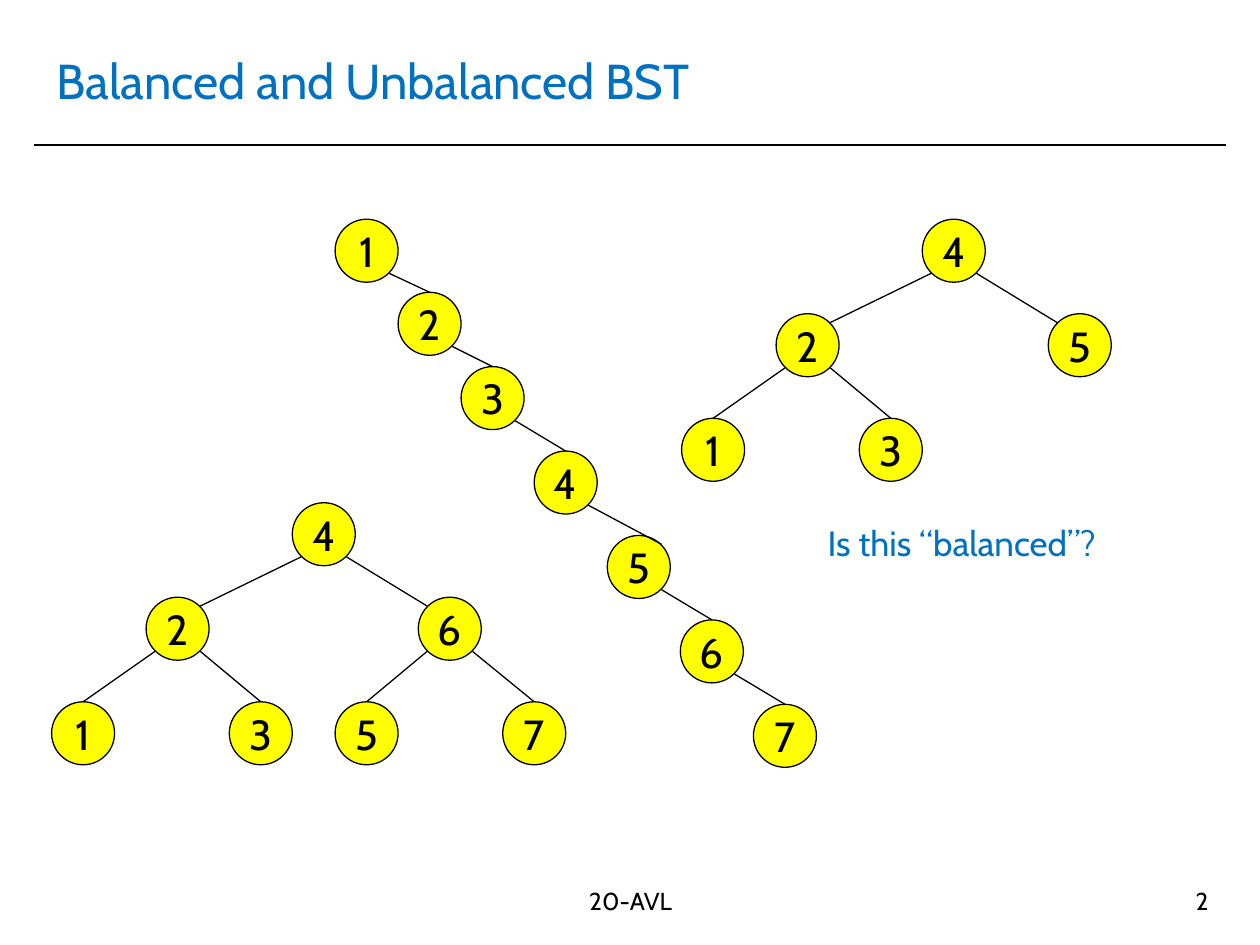
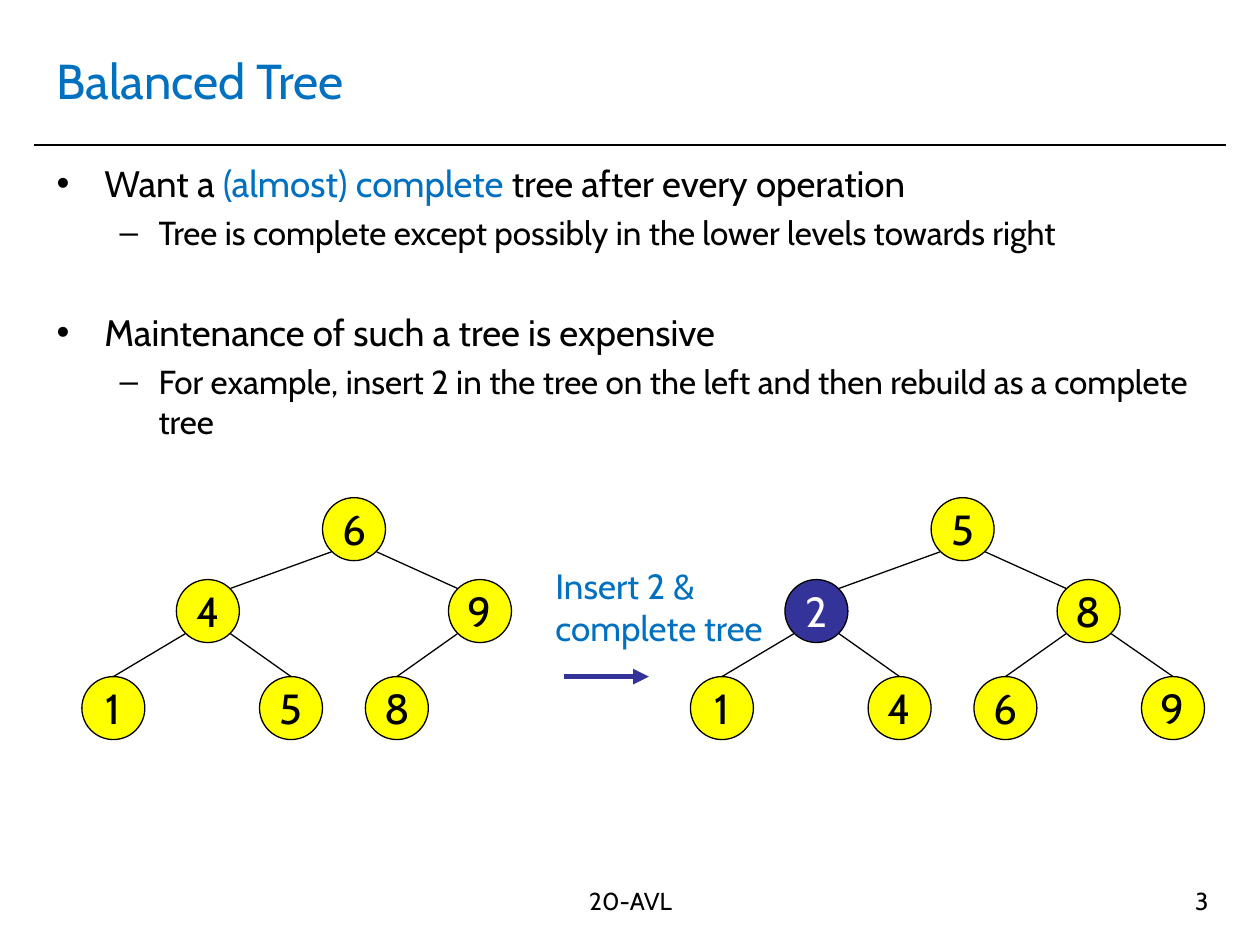
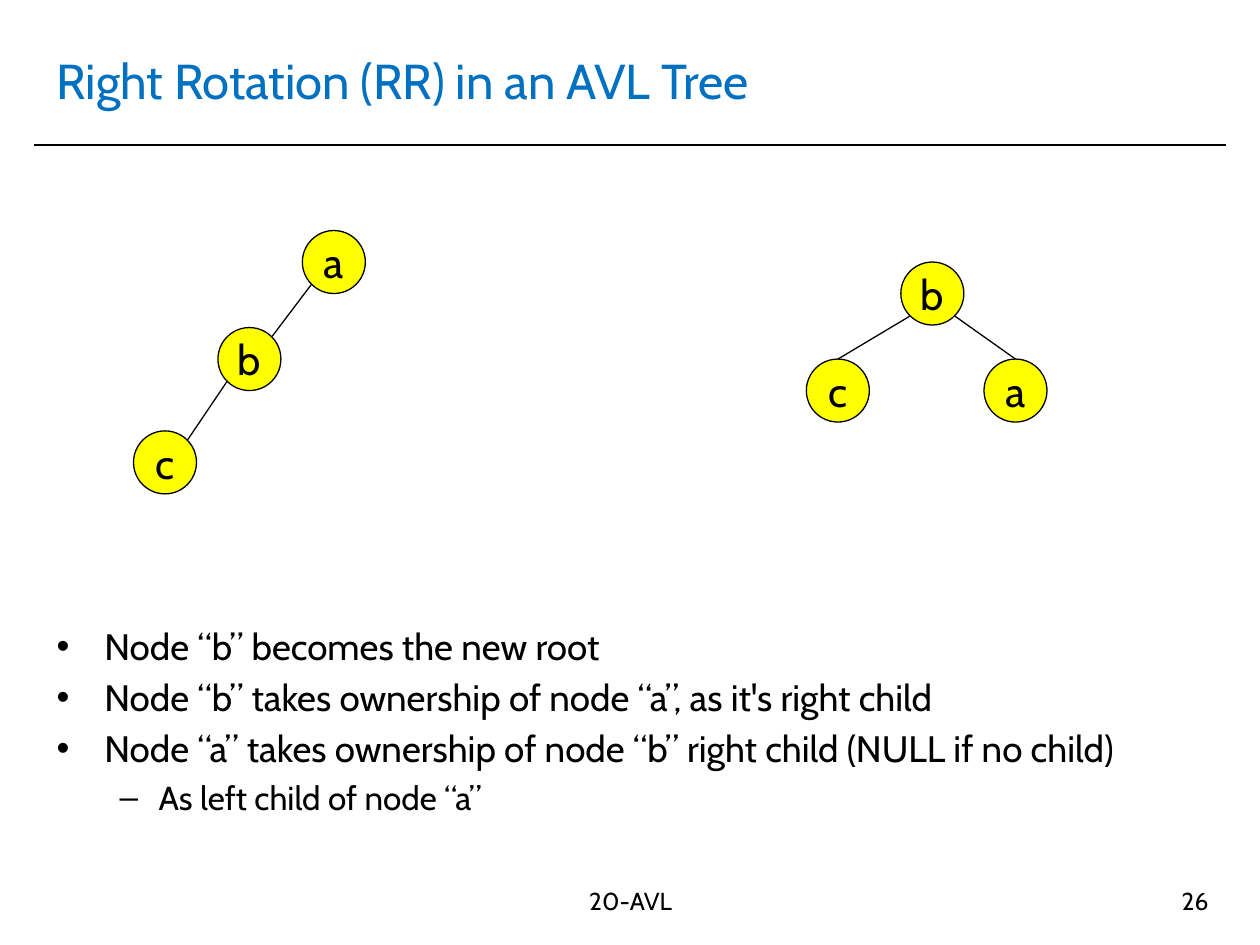
from dataclasses import dataclass
from itertools import accumulate

from lxml import etree
from pptx import Presentation
from pptx import util as u
from pptx.dml.color import RGBColor
from pptx.enum import shapes, text
from pptx.oxml.ns import qn


@dataclass(frozen=True)
class Theme:
    font: str = "Cabin"
    ink: str = "000000"
    blue: str = "0070C0"
    node: str = "FFFF00"
    mark: str = "333399"
    light: str = "FFFFFF"
    title: int = 28
    label: int = 24
    note: int = 20
    foot: int = 14
    body: tuple = (21, 19)
    gap: int = 4


T = Theme()
SIZE = 0.5  # node diameter
NEAR, FAR = 0.07, 0.43  # diagonal points on a node's outline
PORTS = {"top": (SIZE / 2, 0), "left": (NEAR, NEAR), "right": (FAR, NEAR)}
SLOTS = (1.91, 0.75, 2.91, 0, 1.41, 2.25, 3.58)  # node lefts, level by level
ALIGN = text.PP_ALIGN
ANCHOR = text.MSO_ANCHOR


def rgb(code):
    return RGBColor.from_string(code)


def inches(*vals):
    return [u.Inches(v) for v in vals]


# Text and lines
def add_run(para, words, size, color=T.ink):
    run = para.add_run()
    run.text = words
    run.font.name = T.font
    run.font.size = u.Pt(size)
    run.font.color.rgb = rgb(color)


def add_text(slide, box, lines, size, color=T.ink, align=ALIGN.LEFT,
             anchor=ANCHOR.TOP, wrap=True):
    frame = slide.shapes.add_textbox(*inches(*box)).text_frame
    frame.word_wrap = wrap
    frame.vertical_anchor = anchor
    for i, words in enumerate(lines):
        para = frame.add_paragraph() if i else frame.paragraphs[0]
        para.alignment = align
        add_run(para, words, size, color)
    return frame


def add_line(slide, start, end, width=0.75, color=T.ink, arrow=False):
    line = slide.shapes.add_connector(shapes.MSO_CONNECTOR.STRAIGHT,
                                      *inches(*start, *end))
    line.line.width = u.Pt(width)
    line.line.color.rgb = rgb(color)
    if arrow:
        etree.SubElement(line.line._get_or_add_ln(), qn("a:tailEnd"),
                         type="triangle")
    etree.SubElement(line._element.spPr, qn("a:effectLst"))


# Title, rule and footer shared by all slides
def add_slide(deck, title, number):
    slide = deck.slides.add_slide(deck.slide_layouts[6])
    add_line(slide, (0.27, 1.15), (9.73, 1.15), 1)
    add_text(slide, (0.35, 0.21, 9.29, 0.85), [title], T.title, T.blue,
             anchor=ANCHOR.MIDDLE)
    add_text(slide, (3.35, 6.98, 3.31, 0.52), ["20-AVL"], T.foot,
             align=ALIGN.CENTER)
    add_text(slide, (7.36, 6.98, 2.33, 0.52), [str(number)], T.foot,
             align=ALIGN.RIGHT)
    return slide


# Bullets: each item is (level, space before, runs of (words, color))
def add_bullets(slide, box, items):
    frame = slide.shapes.add_textbox(*inches(*box)).text_frame
    frame.word_wrap = True
    for i, (level, space, runs) in enumerate(items):
        para = frame.add_paragraph() if i else frame.paragraphs[0]
        if i:
            para.space_before = u.Pt(space)
        para.level = level
        left, hang, mark = ((0.38, 0.38, "•"), (0.81, 0.31, "–"))[level]
        props = para._p.get_or_add_pPr()
        props.set("marL", str(u.Inches(left)))
        props.set("indent", str(-u.Inches(hang)))
        tint = etree.SubElement(props, qn("a:buClr"))
        etree.SubElement(tint, qn("a:srgbClr"), val=T.ink)
        etree.SubElement(props, qn("a:buFont"), typeface="Arial")
        etree.SubElement(props, qn("a:buChar"), char=mark)
        for words, color in runs:
            add_run(para, words, T.body[level], color)


# Trees
def add_node(slide, x, y, label, marked):
    node = slide.shapes.add_shape(shapes.MSO_SHAPE.OVAL,
                                  *inches(x, y, SIZE, SIZE))
    node.shadow.inherit = False
    node.fill.solid()
    node.fill.fore_color.rgb = rgb(T.mark if marked else T.node)
    node.line.color.rgb = rgb(T.ink)
    node.line.width = u.Pt(0.75)
    frame = node.text_frame
    frame.word_wrap = False
    frame.vertical_anchor = ANCHOR.MIDDLE
    para = frame.paragraphs[0]
    para.alignment = ALIGN.CENTER
    add_run(para, label, T.label, T.light if marked else T.ink)


def add_graph(slide, x, y, labels, spots, links, marked=None):
    """Draw nodes at spots and links of (parent, child, child's port)."""
    spots = [(x + dx, y + dy) for dx, dy in spots]
    for label, (left, top) in zip(labels, spots):
        add_node(slide, left, top, label, label == marked)
    for head, kid, port in links:
        (px, py), (kx, ky) = spots[head], spots[kid]
        side = FAR if kx > px else NEAR
        dx, dy = PORTS[port]
        add_line(slide, (px + side, py + FAR), (kx + dx, ky + dy))


def add_heap(slide, x, y, labels, drops, marked=None):
    """Draw labels, listed level by level, as a complete tree."""
    count = len(labels)
    spots = [(SLOTS[i], drops[(i + 1).bit_length() - 1])
             for i in range(count)]
    ports = ["right", "left"] + ["top"] * 4
    links = [((i - 1) // 2, i, ports[i - 1]) for i in range(1, count)]
    add_graph(slide, x, y, labels, spots, links, marked)


def add_chain(slide, x, y, labels, spots, ports):
    links = [(i, i + 1, port) for i, port in enumerate(ports)]
    add_graph(slide, x, y, labels, spots, links)


# Slides
def balance_slide(deck):
    slide = add_slide(deck, "Balanced and Unbalanced BST", 2)
    drops = (0, 0.75, 1.58)
    add_heap(slide, 5.41, 1.74, "42513", drops)
    across = accumulate([0, 0.5, 0.5] + [0.58] * 4)
    down = accumulate([0, 0.58, 0.59] + [0.67] * 4)
    add_chain(slide, 2.66, 1.74, "1234567", list(zip(across, down)),
              ["top"] * 3 + ["right"] + ["top"] * 2)
    add_heap(slide, 0.41, 3.99, "4261357", drops)
    add_text(slide, (6.47, 4.09, 2.5, 0.44), ["Is this “balanced”?"],
             T.note, T.blue, wrap=False)


def rebuild_slide(deck):
    slide = add_slide(deck, "Balanced Tree", 3)
    add_bullets(slide, (0.35, 1.23, 9.29, 5.59), [
        (0, 0, [("Want a ", T.ink), ("(almost) complete ", T.blue),
                ("tree after every operation", T.ink)]),
        (1, T.gap, [("Tree is complete except possibly in the lower levels "
                     "towards right", T.ink)]),
        (0, 33, [("Maintenance of such a tree is expensive", T.ink)]),
        (1, T.gap, [("For example, insert 2 in the tree on the left and then "
                     "rebuild as a complete tree", T.ink)]),
    ])
    add_text(slide, (4.31, 4.43, 1.9, 0.77), ["Insert 2 &", "complete tree"],
             T.note, T.blue, wrap=False)
    drops = (0, 0.65, 1.42)
    add_heap(slide, 0.65, 3.95, "649158", drops)
    add_heap(slide, 5.48, 3.95, "5281469", drops, marked="2")
    add_line(slide, (4.48, 5.37), (5.15, 5.37), 3, T.mark, arrow=True)


def rotate_slide(deck):
    slide = add_slide(deck, "Right Rotation (RR) in an AVL Tree", 26)
    add_bullets(slide, (0.35, 4.9, 9.29, 1.92), [
        (level, T.gap, [(words, T.ink)]) for level, words in (
            (0, "Node “b” becomes the new root"),
            (0, "Node “b” takes ownership of node “a”, as it's right child"),
            (0, "Node “a” takes ownership of node “b” right child "
                "(NULL if no child)"),
            (1, "As left child of node “a”"))
    ])
    add_graph(slide, 6.4, 2.08, "bca", [(0.75, 0), (0, 0.77), (1.41, 0.77)],
              [(0, 1, "top"), (0, 2, "top")])
    add_chain(slide, 1.06, 1.83, "abc", [(1.34, 0), (0.67, 0.77), (0, 1.59)],
              ["right"] * 2)


def main():
    deck = Presentation()
    deck.slide_width, deck.slide_height = inches(10, 7.5)
    balance_slide(deck)
    rebuild_slide(deck)
    rotate_slide(deck)
    deck.save("out.pptx")


if __name__ == "__main__":
    main()
